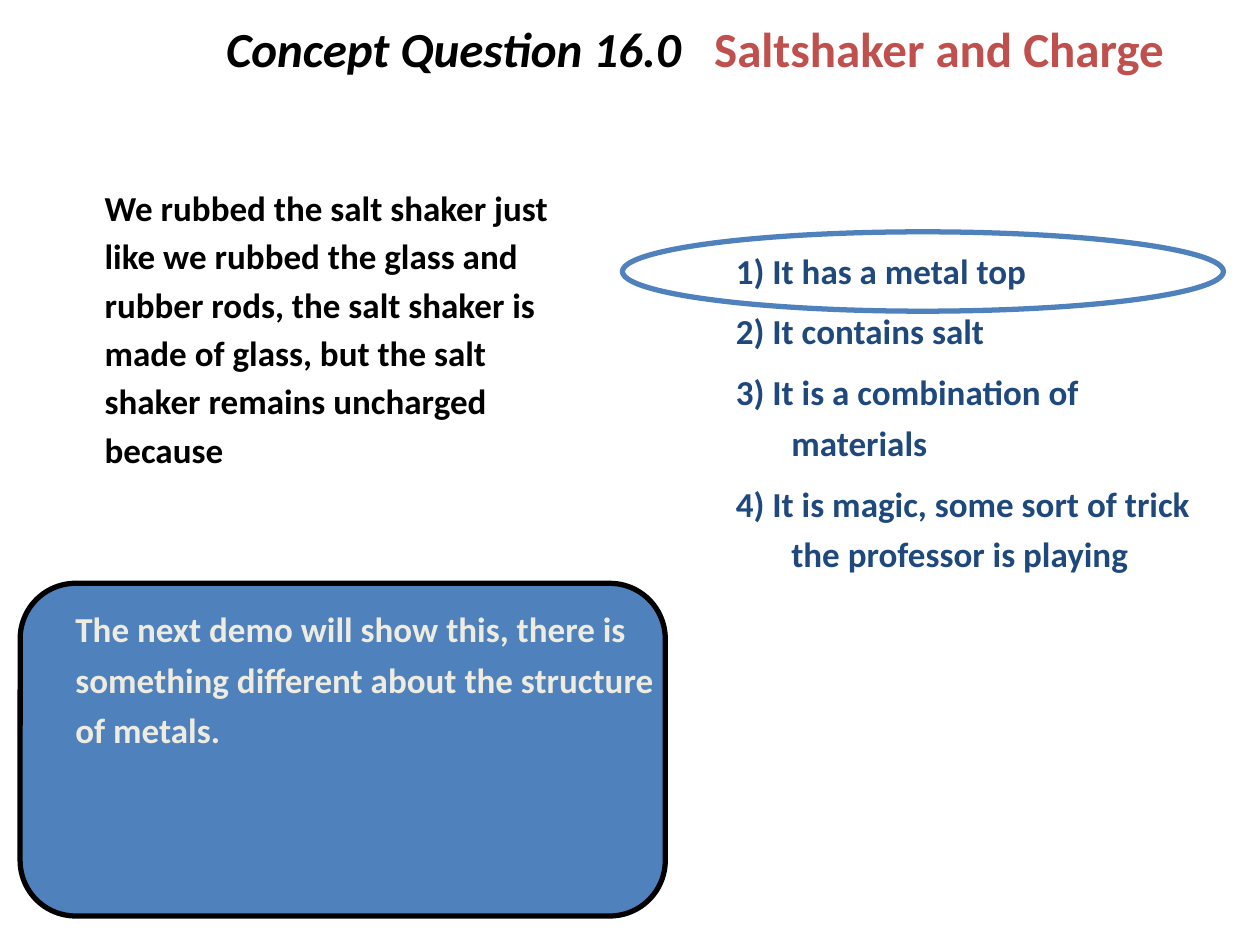
import pptx
import pptx.dml.color
import pptx.enum.shapes
import pptx.enum.text
import pptx.util
from pptx.util import Inches, Pt

RGBColor = pptx.dml.color.RGBColor
MSO_SHAPE = pptx.enum.shapes.MSO_SHAPE
MSO_ANCHOR = pptx.enum.text.MSO_ANCHOR
MSO_AUTO_SIZE = pptx.enum.text.MSO_AUTO_SIZE
PP_ALIGN = pptx.enum.text.PP_ALIGN

BLACK = RGBColor(0x00, 0x00, 0x00)
RED = RGBColor(0xC0, 0x50, 0x4D)
BLUE = RGBColor(0x4F, 0x81, 0xBD)
NAVY = RGBColor(0x1F, 0x49, 0x7D)
CREAM = RGBColor(0xEE, 0xEC, 0xE1)
FONT = "Calibri"

# Each title part: text, colour, italic
TITLE = [
    ("Concept Question 16.0   ", BLACK, True),
    ("Saltshaker and Charge", RED, False),
]
QUESTION = [
    "We rubbed the salt shaker just like we rubbed the glass and rubber rods, "
    "the salt shaker is made of glass, but the salt shaker remains uncharged because"
]
ANSWERS = [
    "1) It has a metal top",
    "2) It contains salt",
    "3) It is a combination of materials",
    "4) It is magic, some sort of trick the professor is playing",
]
EXPLANATION = [
    "The next demo will show this, there is something different "
    "about the structure of metals."
]


def place(shape, left, top, width, height):
    shape.left, shape.top = Inches(left), Inches(top)
    shape.width, shape.height = Inches(width), Inches(height)


def style_run(run, size, color, italic=False):
    run.font.name = FONT
    run.font.size = Pt(size)
    run.font.bold = True
    run.font.italic = italic
    run.font.color.rgb = color


def fill_title(title):
    place(title, 1.03, 0, 8.97, 1.25)
    frame = title.text_frame
    frame.auto_size = MSO_AUTO_SIZE.NONE
    frame.vertical_anchor = MSO_ANCHOR.TOP
    frame.margin_top = Inches(0.15)
    paragraph = frame.paragraphs[0]
    paragraph.alignment = PP_ALIGN.CENTER
    for text, color, italic in TITLE:
        run = paragraph.add_run()
        run.text = text
        style_run(run, 28, color, italic)


def fill_text(shape, lines, color, margin, hanging, line_spacing, space_before):
    """Write unbulleted 20 pt paragraphs; margin and hanging are in inches."""
    frame = shape.text_frame
    frame.word_wrap = True
    frame.auto_size = MSO_AUTO_SIZE.NONE
    frame.vertical_anchor = MSO_ANCHOR.TOP
    frame.text = "\n".join(lines)
    for paragraph in frame.paragraphs:
        paragraph.alignment = PP_ALIGN.LEFT
        paragraph.line_spacing = line_spacing
        paragraph.space_before = Pt(space_before)
        paragraph.space_after = Pt(0)
        properties = paragraph._p.get_or_add_pPr()
        properties.set("marL", str(Inches(margin)))
        properties.set("indent", str(-Inches(hanging)))
        bullet_none = pptx.oxml.parse_xml(
            '<a:buNone xmlns:a="http://schemas.openxmlformats.org/drawingml/2006/main"/>'
        )
        properties.append(bullet_none)
        for run in paragraph.runs:
            style_run(run, 20, color)


def add_outlined_shape(slide, kind, box, line_color, fill_color=None):
    shape = slide.shapes.add_shape(kind, *map(Inches, box))
    shape.shadow.inherit = False
    if fill_color is None:
        shape.fill.background()
    else:
        shape.fill.solid()
        shape.fill.fore_color.rgb = fill_color
    shape.line.color.rgb = line_color
    shape.line.width = Pt(3)
    return shape


def main():
    presentation = pptx.Presentation()
    presentation.slide_width = Inches(10)
    presentation.slide_height = Inches(7.5)
    two_content = presentation.slide_layouts[3]
    slide = presentation.slides.add_slide(two_content)

    title, question, answers = slide.placeholders
    fill_title(title)
    place(question, 0.29, 1.38, 4.28, 2.44)
    fill_text(question, QUESTION, BLACK, 0.44, 0, 1.15, 10)
    place(answers, 5.74, 1.86, 3.84, 2.92)
    fill_text(answers, ANSWERS, NAVY, 0.44, 0.44, 1.2, 6)

    add_outlined_shape(slide, MSO_SHAPE.OVAL, (4.94, 1.84, 4.77, 0.63), BLUE)
    add_outlined_shape(
        slide, MSO_SHAPE.ROUNDED_RECTANGLE, (0.16, 4.63, 5.12, 2.64), BLACK, BLUE
    )
    explanation = slide.shapes.add_textbox(*map(Inches, (0.19, 4.71, 5.11, 1.3)))
    fill_text(explanation, EXPLANATION, CREAM, 0.31, 0, 1.2, 10)

    presentation.save("out.pptx")


if __name__ == "__main__":
    main()
